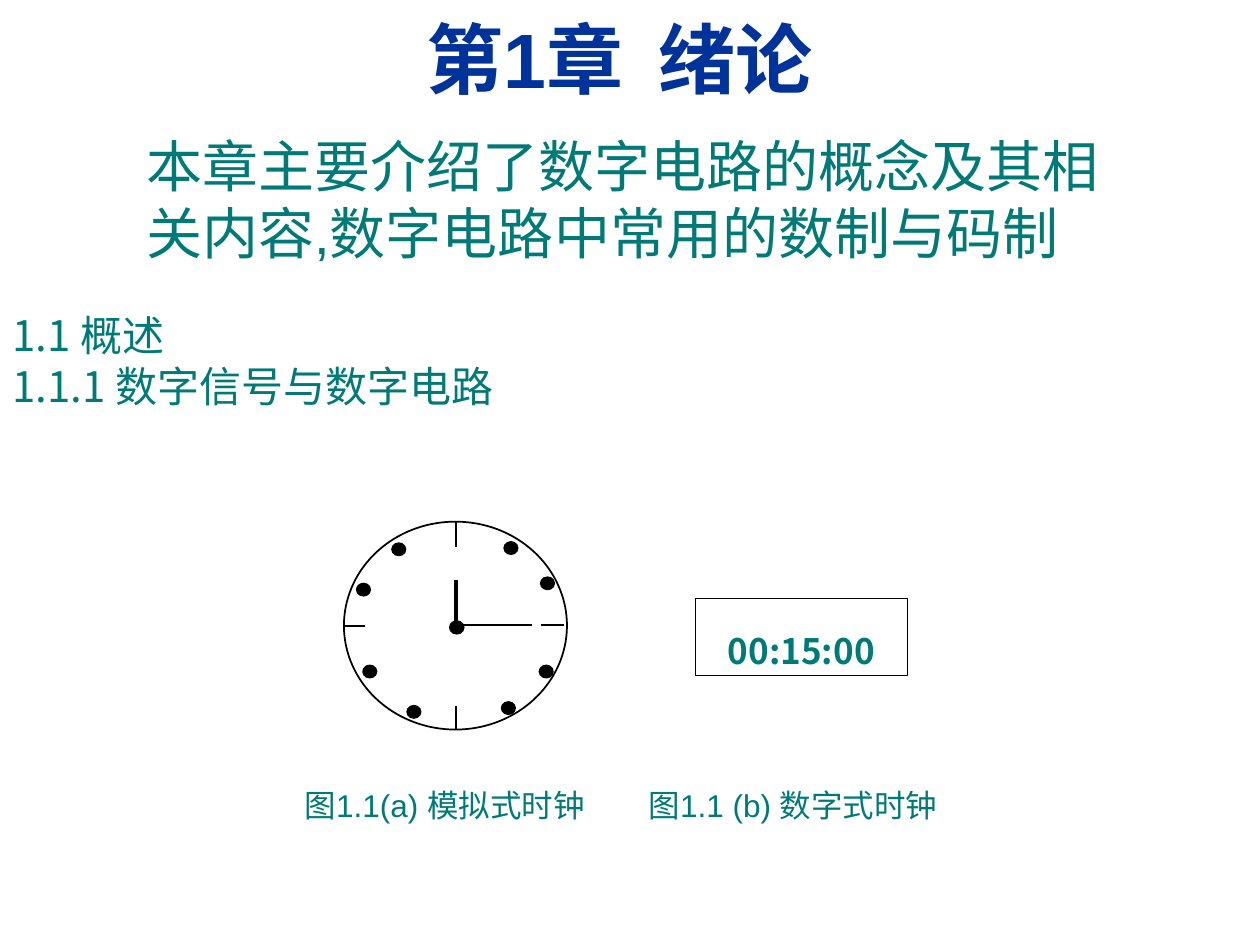
"""Build the opening slide of a digital circuits chapter, with two clocks."""
from lxml import etree
from pptx import Presentation
from pptx import util as u
from pptx.dml.color import RGBColor
from pptx.enum import shapes, text
from pptx.oxml.ns import qn

HUES = {"blue": "003399", "teal": "007A77", "ink": "000000", "face": "FFFFFF"}
SANS, CJK = "Arial", "Noto Sans CJK SC"
LEFT, MID = text.PP_ALIGN.LEFT, text.PP_ALIGN.CENTER
TOP, LOW = text.MSO_ANCHOR.TOP, text.MSO_ANCHOR.BOTTOM

TITLE = ["第1章  绪论"]
INTRO = ["本章主要介绍了数字电路的概念及其相关内容,数字电路中常用的数制与码制"]
HEADS = ["1.1 概述", "1.1.1 数字信号与数字电路"]
TIME = ["00:15:00"]
NOTES = ["图1.1(a) 模拟式时钟\t图1.1 (b) 数字式时钟"]
NOTE_TAB = 2.73

FACE = (2.73, 4.14, 1.77, 1.65)
DOT = (0.11, 0.1)
HUB = (3.57, 4.93)
HOURS = [(4, 4.3), (4.29, 4.58), (4.28, 5.28), (3.98, 5.57),
         (3.23, 5.6), (2.88, 5.28), (2.83, 4.63), (3.11, 4.31)]
TICKS = [(3.62, 4.14, 3.62, 4.34), (3.62, 5.79, 3.62, 5.6),
         (2.72, 4.97, 2.9, 4.97), (4.29, 4.96, 4.48, 4.96)]
HANDS = [((3.62, 4.6, 3.62, 5.02), 2.25), ((3.65, 4.96, 4.22, 4.96), 1.5)]


def hue(name):
    return RGBColor.from_string(HUES[name])


def place(shape, box):
    for key, size in zip(("left", "top", "width", "height"), box):
        setattr(shape, key, u.Inches(size))


def write(shape, lines, font, align=LEFT, anchor=TOP,
          pads=(0.1, 0.05, 0.1, 0.05), tab=None):
    frame = shape.text_frame
    frame.word_wrap = True
    frame.auto_size = text.MSO_AUTO_SIZE.NONE
    frame.vertical_anchor = anchor
    for side, pad in zip(("left", "top", "right", "bottom"), pads):
        setattr(frame, f"margin_{side}", u.Inches(pad))
    frame.text = "\n".join(lines)
    for para in frame.paragraphs:
        para.alignment = align
        para.space_before = u.Pt(0)
        if tab:
            stops = etree.SubElement(para._p.get_or_add_pPr(), qn("a:tabLst"))
            etree.SubElement(stops, qn("a:tab"), pos=str(u.Inches(tab)), algn="l")
        for run in para.runs:
            for key, value in font.items():
                if key == "color":
                    run.font.color.rgb = hue(value)
                else:
                    setattr(run.font, key, value)


def draw(group, kind, box, fill, width):
    shape = group.shapes.add_shape(kind, *map(u.Inches, box))
    shape.shadow.inherit = False
    shape.fill.solid()
    shape.fill.fore_color.rgb = hue(fill)
    shape.line.color.rgb = hue("ink")
    shape.line.width = u.Pt(width)
    return shape


def rule(group, ends, width):
    line = group.shapes.add_connector(
        shapes.MSO_CONNECTOR.STRAIGHT, *map(u.Inches, ends))
    line.line.color.rgb = hue("ink")
    line.line.width = u.Pt(width)
    etree.SubElement(line._element.spPr, qn("a:effectLst"))


def font(size, name=SANS, color="teal", bold=False):
    return {"size": u.Pt(size), "name": name, "color": color, "bold": bold}


def main():
    deck = Presentation()
    deck.slide_width, deck.slide_height = u.Inches(10), u.Inches(7.5)
    slide = deck.slides.add_slide(deck.slide_layouts[0])
    title, intro = slide.placeholders
    place(title, (0.67, 0, 8.5, 1.61))
    write(title, TITLE, font(44, color="blue", bold=True), MID,
          pads=(0.1, 0.09, 0.1, 0.05))
    place(intro, (1.06, 0.99, 7.87, 1.5))
    write(intro, INTRO, font(32))

    heads = slide.shapes.add_textbox(*map(u.Inches, (0, 2.41, 10, 0.9)))
    write(heads, HEADS, font(24, CJK))

    group = slide.shapes.add_group_shape()
    oval = shapes.MSO_SHAPE.OVAL
    draw(group, oval, FACE, "face", 1)
    for ends in TICKS:
        rule(group, ends, 1)
    draw(group, oval, HUB + DOT, "ink", 1)
    for ends, width in HANDS:
        rule(group, ends, width)
    for spot in HOURS:
        draw(group, oval, spot + DOT, "ink", 0.75)
    panel = draw(group, shapes.MSO_SHAPE.RECTANGLE, (5.52, 4.75, 1.68, 0.61),
                 "face", 0.75)
    write(panel, TIME, font(20, CJK, bold=True), MID, LOW,
          (0.06, 0.01, 0.06, 0.03))

    notes = slide.shapes.add_textbox(*map(u.Inches, (2.32, 6.19, 5.43, 0.4)))
    write(notes, NOTES, font(18), tab=NOTE_TAB)
    deck.save("out.pptx")


if __name__ == "__main__":
    main()
